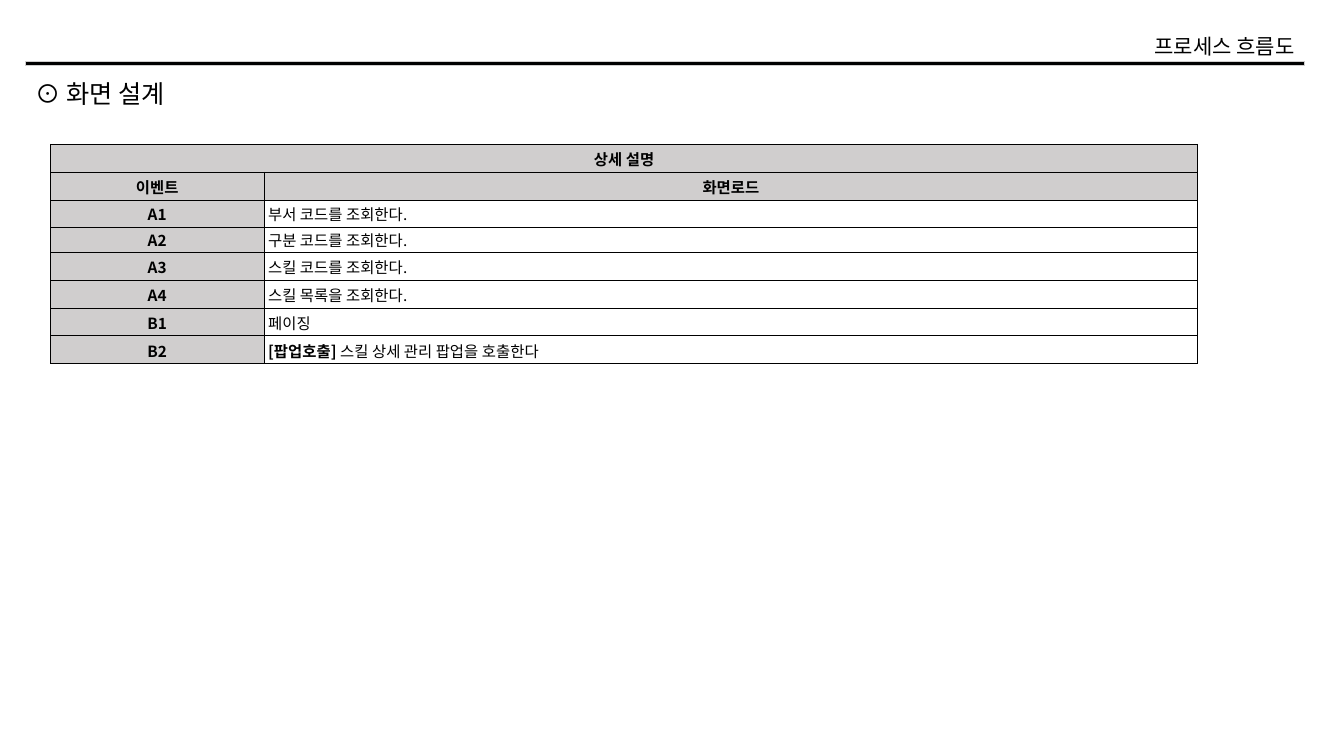
from dataclasses import dataclass

from lxml import etree
from pptx import Presentation
from pptx.dml.color import RGBColor
from pptx.enum.shapes import MSO_SHAPE
from pptx.enum.text import MSO_ANCHOR, MSO_AUTO_SIZE, PP_ALIGN
from pptx.oxml.ns import qn
from pptx.util import Inches, Pt

RECTANGLE = MSO_SHAPE.RECTANGLE
TOP, MIDDLE = MSO_ANCHOR.TOP, MSO_ANCHOR.MIDDLE
LEFT, CENTER, RIGHT = PP_ALIGN.LEFT, PP_ALIGN.CENTER, PP_ALIGN.RIGHT
NO_AUTOFIT = MSO_AUTO_SIZE.NONE

SLIDE_WIDTH, SLIDE_HEIGHT = Inches(13.33), Inches(7.5)
GRID_COLUMNS, GRID_ROWS = 160, 90


@dataclass(frozen=True)
class Theme:
    font: str = "Noto Sans CJK KR"
    ink: str = "000000"
    shade: str = "D0CECE"
    title_size: float = 15
    heading_size: float = 18
    table_size: float = 11
    rule_line: float = 0.3
    border_line: float = 0.5


THEME = Theme()


@dataclass(frozen=True)
class Box:
    """A region measured in grid columns and rows."""
    left: float
    top: float
    width: float
    height: float

    def inner(self, left, top, width, height):
        return Box(self.left + left, self.top + top, width, height)

    def lengths(self):
        return (columns(self.left), rows(self.top),
                columns(self.width), rows(self.height))


def columns(count):
    return round(SLIDE_WIDTH * count / GRID_COLUMNS)


def rows(count):
    return round(SLIDE_HEIGHT * count / GRID_ROWS)


def color(value):
    return RGBColor.from_string(value)


def add_run(paragraph, text, size, bold=False):
    run = paragraph.add_run()
    run.text = text
    font = run.font
    font.name, font.size, font.bold = THEME.font, Pt(size), bold
    font.color.rgb = color(THEME.ink)
    east_asian = etree.SubElement(run._r.get_or_add_rPr(), qn("a:ea"))
    east_asian.set("typeface", THEME.font)


def place_text(placeholder, box, text, size, alignment):
    (placeholder.left, placeholder.top,
     placeholder.width, placeholder.height) = box.lengths()
    frame = placeholder.text_frame
    frame.word_wrap = True
    frame.auto_size = NO_AUTOFIT
    frame.vertical_anchor = TOP
    paragraph = frame.paragraphs[0]
    paragraph.alignment = alignment
    paragraph.space_before = Pt(0)
    properties = paragraph._p.get_or_add_pPr()
    properties.set("marL", "0")
    properties.set("indent", "0")
    etree.SubElement(properties, qn("a:buNone"))
    add_run(paragraph, text, size)


def add_header(slide, box, title, heading):
    # Rule across the page
    rule = slide.shapes.add_shape(
        RECTANGLE, *box.inner(0, 3.96, box.width, 0.48).lengths())
    rule.shadow.inherit = False
    rule.fill.solid()
    rule.fill.fore_color.rgb = color(THEME.ink)
    rule.line.color.rgb = color(THEME.shade)
    rule.line.width = Pt(THEME.rule_line)

    # Page title above the rule, section heading below it
    title_width = 21
    place_text(slide.shapes.title,
               box.inner(box.width - title_width, 0, title_width, 4.2),
               title, THEME.title_size, RIGHT)
    place_text(slide.placeholders[1], box.inner(0, 5.4, 19.6, 4.8),
               heading, THEME.heading_size, LEFT)


def add_borders(cell):
    properties = cell._tc.get_or_add_tcPr()
    for side in ("lnL", "lnR", "lnT", "lnB"):
        line = etree.SubElement(properties, qn(f"a:{side}"),
                                w=str(Pt(THEME.border_line)))
        fill = etree.SubElement(line, qn("a:solidFill"))
        etree.SubElement(fill, qn("a:srgbClr"), val=THEME.ink)


def fill_cell(cell, runs, is_label):
    add_borders(cell)
    cell.vertical_anchor = MIDDLE
    cell.margin_left = Inches(0.01 if is_label else 0.04)
    cell.margin_right = cell.margin_top = Inches(0.01)
    cell.margin_bottom = 0
    if is_label:
        cell.fill.solid()
        cell.fill.fore_color.rgb = color(THEME.shade)
    else:
        cell.fill.background()
    paragraph = cell.text_frame.paragraphs[0]
    paragraph.alignment = CENTER if is_label else LEFT
    for text, bold in runs:
        add_run(paragraph, text, THEME.table_size, bold)


def add_event_table(slide, box, caption, headings, events):
    label_width = 25.44
    row_height, short_rows = 3.33, {2: 3.21, 3: 2.98}
    table = slide.shapes.add_table(
        len(events) + 2, 2, *box.lengths()).table
    table.first_row = table.horz_banding = False
    table.columns[0].width = columns(label_width)
    table.columns[1].width = columns(box.width - label_width)
    for index, row in enumerate(table.rows):
        row.height = rows(short_rows.get(index, row_height))

    # Caption and column headings
    table.cell(0, 0).merge(table.cell(0, 1))
    fill_cell(table.cell(0, 0), [(caption, True)], True)
    fill_cell(table.cell(0, 1), [], True)
    for column, heading in enumerate(headings):
        fill_cell(table.cell(1, column), [(heading, True)], True)

    # One row for each event
    for row, (code, runs) in enumerate(events, start=2):
        fill_cell(table.cell(row, 0), [(code, True)], True)
        fill_cell(table.cell(row, 1), runs, False)


EVENTS = [
    ("A1", [("부서 코드를 조회한다.", False)]),
    ("A2", [("구분 코드를 조회한다.", False)]),
    ("A3", [("스킬 코드를 조회한다.", False)]),
    ("A4", [("스킬 목록을 조회한다.", False)]),
    ("B1", [("페이징", False)]),
    ("B2", [("[팝업호출] ", True), ("스킬 상세 관리 팝업을 호출한다", False)]),
]

presentation = Presentation()
presentation.slide_width, presentation.slide_height = SLIDE_WIDTH, SLIDE_HEIGHT
slide = presentation.slides.add_slide(presentation.slide_layouts[1])
add_header(slide, Box(3, 3.36, 152.3, 10.2), "프로세스 흐름도", "⊙ 화면 설계")
add_event_table(slide, Box(6, 17.16, 136.6, 26.17),
                "상세 설명", ["이벤트", "화면로드"], EVENTS)
presentation.save("out.pptx")
